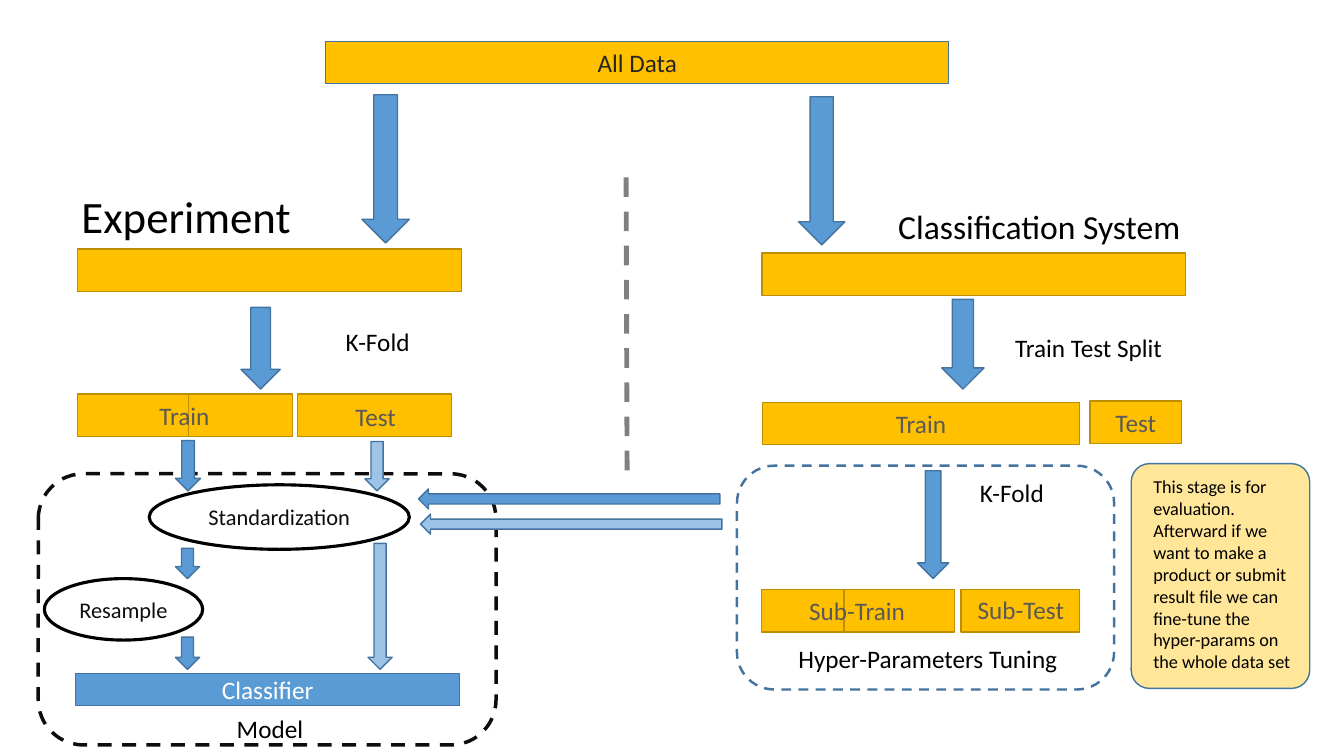
"""Build a slide comparing an experiment pipeline with a classification system."""
from dataclasses import dataclass

from lxml.etree import SubElement
from pptx import Presentation
from pptx.dml.color import RGBColor
from pptx.enum.dml import MSO_LINE
from pptx.enum.shapes import MSO_CONNECTOR, MSO_SHAPE
from pptx.enum.text import MSO_ANCHOR, MSO_AUTO_SIZE, PP_ALIGN
from pptx.oxml.ns import qn
from pptx.shapes.autoshape import Shape
from pptx.slide import Slide
from pptx.text.text import TextFrame
from pptx.util import Inches, Pt

COLORS = {
    "gold": "FFC000", "gold_edge": "BD8E00", "cream": "FFE699",
    "blue": "5B9BD5", "blue_edge": "43739E", "light_blue": "9DC3E6",
    "black": "000000", "ink": "0D0D0D", "charcoal": "262626",
    "slate": "595959", "gray": "808080", "white": "FFFFFF",
}
BAR_HEIGHT = 0.42


@dataclass
class Block:
    left: float
    top: float
    width: float
    height: float = BAR_HEIGHT
    kind: MSO_SHAPE = MSO_SHAPE.RECTANGLE
    fill: str | None = "gold"
    edge: str = "gold_edge"
    edge_width: float = 1
    dashed: bool = False
    text: str = ""
    size: int = 18
    color: str = "slate"
    corner: float | None = None


@dataclass
class Arrow:
    left: float
    top: float
    width: float
    height: float
    fill: str = "blue"
    kind: MSO_SHAPE = MSO_SHAPE.DOWN_ARROW


@dataclass
class Label:
    text: str
    left: float
    top: float
    width: float
    height: float = 0.4
    size: int = 18
    color: str = "black"
    align: PP_ALIGN = PP_ALIGN.LEFT
    wrap: bool = False


BARS = [
    Block(3.23, 0.41, 6.18, edge="blue_edge", text="All Data", color="charcoal"),
    Block(0.77, 2.47, 3.81),
    Block(7.56, 2.51, 4.2),
    Block(0.77, 3.91, 1.15),
    Block(1.87, 3.91, 1.03),
    Block(2.95, 3.91, 1.53),
    Block(7.56, 3.99, 3.15, text="Train"),
    Block(10.81, 3.98, 0.91, text="Test"),
    Block(7.55, 5.85, 1.15),
    Block(8.37, 5.85, 1.1),
    Block(9.53, 5.85, 1.18),
    Block(0.75, 6.68, 3.81, 0.32, fill="blue", edge="blue_edge", text="Classifier", color="white"),
]
STEPS = [
    Block(left, top, width, height, MSO_SHAPE.OVAL, None, "black", 2.25,
          text=text, size=16, color="ink")
    for text, left, top, width, height in [
        ("Standardization", 1.48, 4.81, 2.58, 0.64),
        ("Resample", 0.44, 5.74, 1.57, 0.61),
    ]
]
FRAMES = [
    Block(7.31, 4.62, 3.74, 2.22, MSO_SHAPE.ROUNDED_RECTANGLE, None, "blue_edge", 1.75, True),
    Block(0.38, 4.7, 4.54, 2.69, MSO_SHAPE.ROUNDED_RECTANGLE, None, "ink", 2.5, True),
    Block(11.22, 4.6, 1.77, 2.23, MSO_SHAPE.ROUNDED_RECTANGLE, "cream", "blue_edge", corner=0.102),
]
ARROWS = [
    Arrow(3.59, 0.94, 0.47, 1.47),
    Arrow(7.92, 0.96, 0.46, 1.47),
    Arrow(2.39, 3.05, 0.39, 0.81),
    Arrow(9.34, 2.97, 0.42, 0.89),
    Arrow(9.1, 4.67, 0.31, 1.07),
    Arrow(1.74, 4.37, 0.25, 0.5),
    Arrow(1.74, 5.44, 0.24, 0.3),
    Arrow(1.74, 6.32, 0.24, 0.32),
    Arrow(3.62, 4.38, 0.24, 0.49, "light_blue"),
    Arrow(3.65, 5.39, 0.24, 1.25, "light_blue"),
    Arrow(4.15, 4.85, 2.99, 0.2, kind=MSO_SHAPE.LEFT_ARROW),
    Arrow(4.17, 5.1, 2.99, 0.2, "light_blue", MSO_SHAPE.LEFT_ARROW),
]
NOTE = (
    "This stage is for evaluation.\n"
    "Afterward if we want to make a product or submit result file "
    "we can fine-tune the hyper-params on the whole data set"
)
LABELS = [
    Label("Experiment", 0.71, 1.82, 2.3, 0.64, 32),
    Label("Classification System", 8.81, 1.99, 3.03, 0.5, 24),
    Label("K-Fold", 3.33, 3.19, 1.24, wrap=True),
    Label("Train Test Split", 9.97, 3.25, 1.67),
    Label("K-Fold", 9.62, 4.69, 1.24, wrap=True),
    Label("Hyper-Parameters Tuning", 7.82, 6.33, 2.78),
    Label("Model", 2.25, 7.03, 0.87),
    Label(NOTE, 11.34, 4.67, 1.59, 2.07, 13, wrap=True),
] + [
    Label(text, left, top, width, color="slate", align=PP_ALIGN.CENTER)
    for text, left, top, width in [
        ("Train", 1.48, 3.92, 0.7),
        ("Test", 3.42, 3.93, 0.61),
        ("Sub-Train", 7.92, 5.86, 1.16),
        ("Sub-Test", 9.59, 5.85, 1.07),
    ]
]


def rgb(name: str) -> RGBColor:
    return RGBColor.from_string(COLORS[name])


def write(frame: TextFrame, text: str, size: int, color: str, align: PP_ALIGN) -> None:
    frame.text = text
    for para in frame.paragraphs:
        para.alignment = align
        para.font.name = "Calibri"
        para.font.size = Pt(size)
        para.font.color.rgb = rgb(color)


def draw_block(page: Slide, block: Block) -> Shape:
    box = page.shapes.add_shape(
        block.kind, Inches(block.left), Inches(block.top),
        Inches(block.width), Inches(block.height))
    box.shadow.inherit = False
    if block.fill:
        box.fill.solid()
        box.fill.fore_color.rgb = rgb(block.fill)
    else:
        box.fill.background()
    box.line.color.rgb = rgb(block.edge)
    box.line.width = Pt(block.edge_width)
    if block.dashed:
        box.line.dash_style = MSO_LINE.DASH
    if block.corner is not None:
        box.adjustments[0] = block.corner
    if block.text:
        box.text_frame.vertical_anchor = MSO_ANCHOR.MIDDLE
        write(box.text_frame, block.text, block.size, block.color, PP_ALIGN.CENTER)
    return box


def draw_arrow(page: Slide, arrow: Arrow) -> Shape:
    return draw_block(page, Block(
        arrow.left, arrow.top, arrow.width, arrow.height,
        arrow.kind, arrow.fill, "blue_edge"))


def draw_label(page: Slide, label: Label) -> None:
    box = page.shapes.add_textbox(
        Inches(label.left), Inches(label.top), Inches(label.width), Inches(label.height))
    box.text_frame.word_wrap = label.wrap
    box.text_frame.auto_size = MSO_AUTO_SIZE.SHAPE_TO_FIT_TEXT
    write(box.text_frame, label.text, label.size, label.color, label.align)


def draw_divider(page: Slide) -> None:
    divider = page.shapes.add_connector(
        MSO_CONNECTOR.STRAIGHT, Inches(6.21), Inches(1.76), Inches(6.22), Inches(4.7))
    divider.line.color.rgb = rgb("gray")
    divider.line.width = Pt(3.5)
    divider.line.dash_style = MSO_LINE.DASH
    SubElement(divider._element.spPr, qn("a:effectLst"))


def main() -> None:
    deck = Presentation()
    deck.slide_width, deck.slide_height = Inches(13.33), Inches(7.5)
    page = deck.slides.add_slide(deck.slide_layouts[6])
    draw_divider(page)
    for block in BARS + STEPS + FRAMES:
        draw_block(page, block)
    for arrow in ARROWS:
        draw_arrow(page, arrow)
    for label in LABELS:
        draw_label(page, label)
    deck.save("out.pptx")


main()
